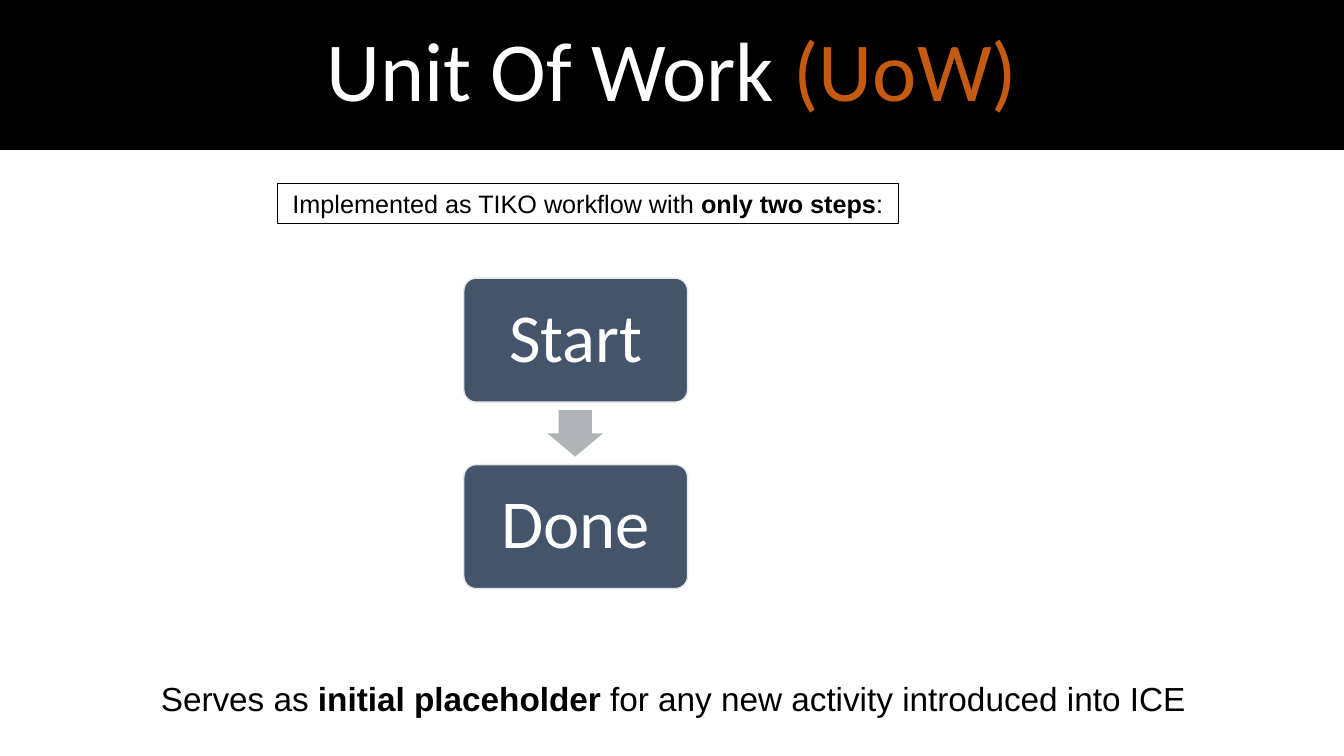
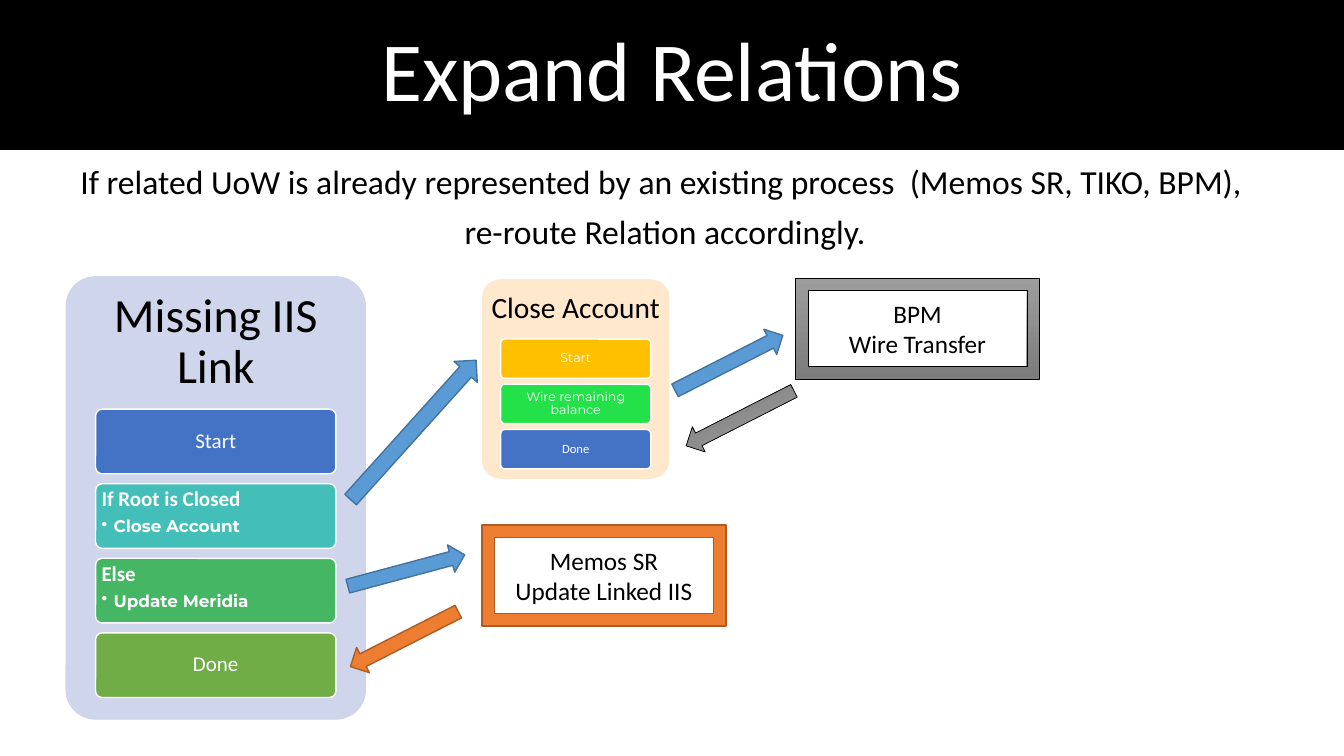
from dataclasses import dataclass, field
from typing import Any

import lxml.etree
import pptx
import pptx.dml.color
import pptx.enum.shapes
import pptx.enum.text
import pptx.oxml.ns
import pptx.util

Inches = pptx.util.Inches
Pt = pptx.util.Pt
Shape = pptx.enum.shapes.MSO_SHAPE
Align = pptx.enum.text.PP_ALIGN
Anchor = pptx.enum.text.MSO_ANCHOR
Area = tuple[float, float, float, float]

BLACK, WHITE = "000000", "FFFFFF"
SLATE, PALE, SILVER = "44546A", "E7E6E6", "B0B4B9"
BLUE, ORANGE, RUST = "4472C4", "ED7D31", "C55A11"
STEEL = ("9D9D9D", "7C7C7C")
SLIDE_WIDTH, SLIDE_HEIGHT, BAND_HEIGHT = 13.33, 7.5, 1.48


@dataclass
class Span:
    text: str
    color: str = BLACK
    bold: bool = False


@dataclass
class Para:
    spans: list[Span]
    size: float
    font: str = "Calibri"
    bullet: bool = False
    layout: dict[str, Any] = field(default_factory=dict)


@dataclass
class Paint:
    fill: str | tuple[str, str] | None = None
    line: str | None = None
    weight: float = 1


@dataclass
class Step:
    fill: str
    paras: list[Para]
    anchor: Any = Anchor.MIDDLE


@dataclass
class Panel:
    title: str
    title_size: float
    area: Area
    fill: str
    steps: list[Step]


@dataclass
class Arrow:
    area: Area
    rotation: float
    paint: Paint


@dataclass
class Frame:
    area: Area
    paint: Paint
    lines: list[str]


def rgb(color: str) -> pptx.dml.color.RGBColor:
    return pptx.dml.color.RGBColor.from_string(color)


def set_values(target: Any, values: dict[str, Any]) -> None:
    for name, value in values.items():
        setattr(target, name, value)


def line_of(text: str, size: float, color: str = BLACK, **options: Any) -> Para:
    """One paragraph holding one span."""
    return Para([Span(text, color)], size, **options)


def add_bullet(paragraph: Any) -> None:
    properties = paragraph._p.get_or_add_pPr()
    properties.set("marL", str(Inches(0.12)))
    properties.set("indent", str(Inches(-0.12)))
    mark = lxml.etree.SubElement(properties, pptx.oxml.ns.qn("a:buChar"))
    mark.set("char", "•")


def write(box: Any, paras: list[Para], anchor: Any = Anchor.MIDDLE,
          inset: tuple[float, float] = (0.1, 0.05)) -> None:
    frame = box.text_frame
    across, down = (Inches(value) for value in inset)
    set_values(frame, {
        "word_wrap": True, "vertical_anchor": anchor,
        "auto_size": pptx.enum.text.MSO_AUTO_SIZE.NONE,
        "margin_left": across, "margin_right": across,
        "margin_top": down, "margin_bottom": down,
    })
    for index, para in enumerate(paras):
        paragraph = frame.add_paragraph() if index else frame.paragraphs[0]
        set_values(paragraph, {"alignment": Align.CENTER} | para.layout)
        if para.bullet:
            add_bullet(paragraph)
        for span in para.spans:
            run = paragraph.add_run()
            run.text = span.text
            set_values(run.font, {"name": para.font, "size": Pt(para.size), "bold": span.bold})
            run.font.color.rgb = rgb(span.color)


def place(box: Any, area: Area) -> None:
    lengths = (Inches(value) for value in area)
    set_values(box, dict(zip(("left", "top", "width", "height"), lengths)))


def paint_box(box: Any, paint: Paint) -> None:
    if isinstance(paint.fill, tuple):
        box.fill.gradient()
        box.fill.gradient_angle = 270
        for stop, color in zip(box.fill.gradient_stops, paint.fill):
            stop.color.rgb = rgb(color)
    elif paint.fill:
        box.fill.solid()
        box.fill.fore_color.rgb = rgb(paint.fill)
    if paint.line:
        box.line.color.rgb = rgb(paint.line)
        box.line.width = Pt(paint.weight)
    else:
        box.line.fill.background()


def add_box(page: Any, kind: Any, area: Area, paint: Paint,
            adjustments: tuple[float, ...] = ()) -> Any:
    box = page.shapes.add_shape(kind, *(Inches(value) for value in area))
    box.shadow.inherit = False
    paint_box(box, paint)
    for index, value in enumerate(adjustments):
        box.adjustments[index] = value
    return box


def add_card(page: Any, area: Area, paint: Paint) -> Any:
    return add_box(page, Shape.ROUNDED_RECTANGLE, area, paint, (0.1,))


def add_text(page: Any, area: Area, paras: list[Para], **options: Any) -> None:
    box = page.shapes.add_textbox(*(Inches(value) for value in area))
    write(box, paras, **options)


def add_page(deck: Any, title: list[Span]) -> Any:
    """Add a slide with the black title band."""
    page = deck.slides.add_slide(deck.slide_layouts[5])
    band = page.shapes.title
    place(band, (0, 0, SLIDE_WIDTH, BAND_HEIGHT))
    paint_box(band, Paint(BLACK, BLACK))
    write(band, [Para(title, 60, layout={"line_spacing": 0.9})])
    return page


def add_panel(page: Any, panel: Panel) -> None:
    """Draw a card: title in the top 30 %, steps in the next 65 %."""
    left, top, width, height = panel.area
    add_card(page, panel.area, Paint(panel.fill))
    title = line_of(panel.title, panel.title_size, layout={"line_spacing": 0.9})
    add_text(page, (left, top, width, 0.3 * height), [title], inset=(0.08, 0.08))
    gap_share = 1 / 6.5
    count = len(panel.steps)
    step_height = 0.65 * height / (count + (count - 1) * gap_share)
    for index, step in enumerate(panel.steps):
        step_top = top + 0.3 * height + index * step_height * (1 + gap_share)
        area = (left + 0.1 * width, step_top, 0.8 * width, step_height)
        card = add_card(page, area, Paint(step.fill, WHITE))
        write(card, step.paras, step.anchor, (0.04, 0.03))


def simple_step(fill: str, size: float, *lines: str, font: str = "Calibri") -> Step:
    layout = {"line_spacing": 0.9}
    return Step(fill, [line_of(line, size, WHITE, font=font, layout=layout) for line in lines])


def branch_step(fill: str, condition: str, action: str) -> Step:
    layout = {"alignment": Align.LEFT, "line_spacing": 0.9}
    return Step(fill, [
        Para([Span(condition, WHITE, True)], 15, layout=layout | {"space_after": Pt(5)}),
        Para([Span(action, WHITE, True)], 12, "Montserrat", True, layout),
    ], Anchor.TOP)


def build_unit_of_work(deck: Any) -> None:
    page = add_page(deck, [Span("Unit Of Work ", WHITE), Span("(UoW)", RUST)])
    summary = [Span("Serves as "), Span("initial placeholder", bold=True),
               Span(" for any new activity introduced into ICE")]
    add_text(page, (0.15, 6.68, 13.05, 0.5), [Para(summary, 23.8, "Arial")])
    for top, label in ((2.76, "Start"), (4.61, "Done")):
        card = add_card(page, (4.6, top, 2.22, 1.23), Paint(SLATE, PALE))
        write(card, [line_of(label, 49, WHITE, layout={"line_spacing": 0.9})])
    add_box(page, Shape.DOWN_ARROW, (5.43, 4.07, 0.55, 0.46), Paint(SILVER), (0.6, 0.5))
    note = add_box(page, Shape.RECTANGLE, (2.75, 1.82, 6.16, 0.4), Paint(WHITE, BLACK))
    write(note, [Para([Span("Implemented as TIKO workflow with "),
                       Span("only two steps", bold=True), Span(":")], 18, "Arial")])


def build_relations(deck: Any) -> None:
    page = add_page(deck, [Span("Expand Relations", WHITE)])
    layout = {"line_spacing": 0.9, "space_before": Pt(10)}
    add_text(page, (0.02, 1.59, 13.15, 1.1), [
        line_of(text, 24, layout=layout) for text in (
            "If related UoW is already represented by an existing process  (Memos SR, TIKO, BPM), ",
            "re-route Relation accordingly.",
        )
    ], anchor=Anchor.TOP)

    panels = [
        Panel("Missing IIS Link", 34, (0.65, 2.74, 2.98, 4.4), "CFD5EA", [
            simple_step(BLUE, 15, "Start"),
            branch_step("43BEB9", "If Root is Closed", "Close Account"),
            branch_step("45B664", "Else", "Update Meridia"),
            simple_step("70AD47", 15, "Done"),
        ]),
        Panel("Close Account", 21, (4.78, 2.77, 1.86, 1.98), "FFE8CC", [
            simple_step("FFC000", 9, "Start", font="Montserrat"),
            simple_step("23E148", 9, "Wire remaining", "balance", font="Montserrat"),
            simple_step(BLUE, 9, "Done"),
        ]),
    ]
    for panel in panels:
        add_panel(page, panel)

    outgoing = Paint("5B9BD5", "43739E")
    orange = Paint(ORANGE, "AF5C24")
    steel = Paint(STEEL, BLACK, 0.5)
    frames = [
        Frame((7.89, 2.76, 2.42, 1), steel, ["BPM", "Wire Transfer"]),
        Frame((4.78, 5.21, 2.42, 1), orange, ["Memos SR", "Update Linked IIS"]),
    ]
    for frame in frames:
        box = add_box(page, Shape.FRAME, frame.area, frame.paint)
        write(box, [line_of(line, 18) for line in frame.lines])

    arrows = [
        Arrow((3.17, 4.11, 1.86, 0.31), 312, outgoing),
        Arrow((6.63, 3.46, 1.2, 0.28), 333, outgoing),
        Arrow((6.74, 4.01, 1.2, 0.28), 153, steel),
        Arrow((3.43, 5.52, 1.2, 0.28), 345, outgoing),
        Arrow((3.41, 6.2, 1.2, 0.28), 153, orange),
    ]
    for arrow in arrows:
        box = add_box(page, Shape.RIGHT_ARROW, arrow.area, arrow.paint)
        box.rotation = arrow.rotation


def main() -> None:
    deck = pptx.Presentation()
    deck.slide_width = Inches(SLIDE_WIDTH)
    deck.slide_height = Inches(SLIDE_HEIGHT)
    build_unit_of_work(deck)
    build_relations(deck)
    deck.save("out.pptx")


if __name__ == "__main__":
    main()
